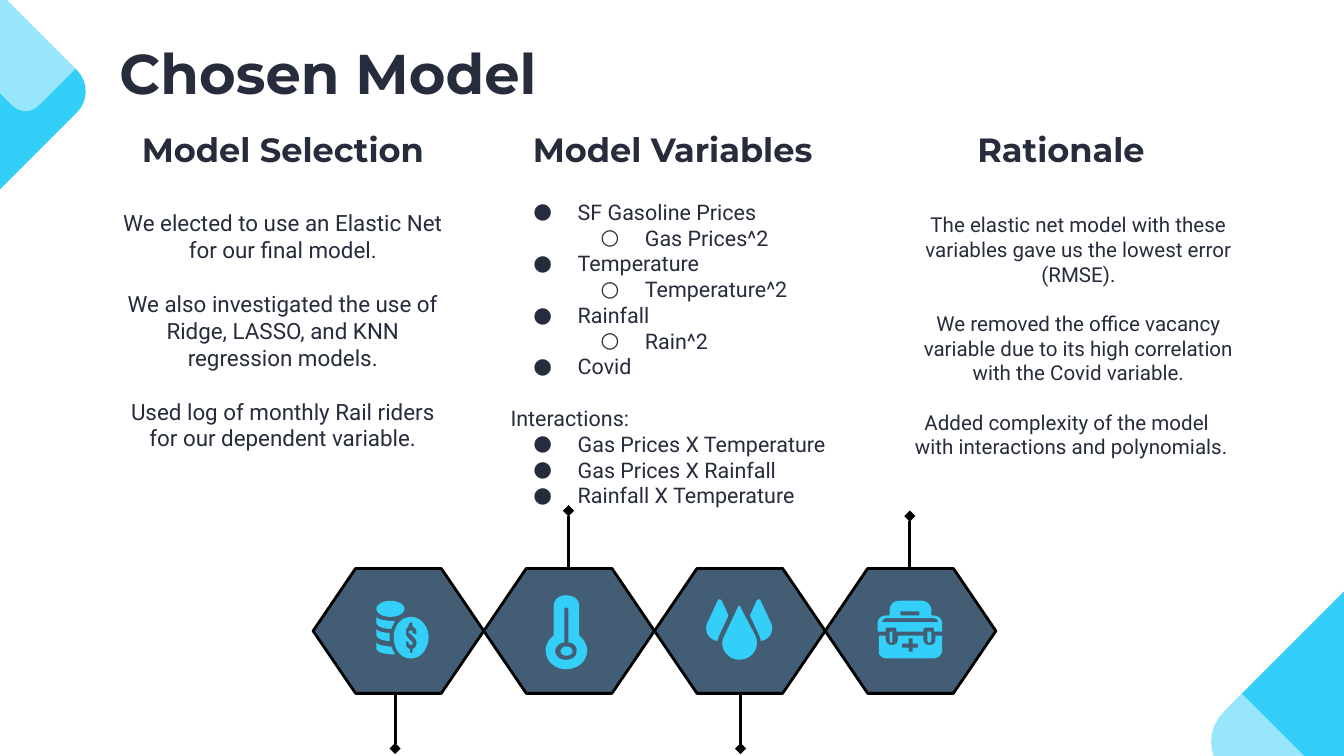
from lxml import etree
from pptx import Presentation
from pptx.dml.color import RGBColor
from pptx.enum.shapes import MSO_CONNECTOR, MSO_SHAPE
from pptx.enum.text import MSO_ANCHOR, PP_ALIGN
from pptx.oxml.ns import qn
from pptx.util import Inches, Pt

LEFT, CENTER = PP_ALIGN.LEFT, PP_ALIGN.CENTER
TOP, BOTTOM = MSO_ANCHOR.TOP, MSO_ANCHOR.BOTTOM
STRAIGHT, HEXAGON, OVAL = MSO_CONNECTOR.STRAIGHT, MSO_SHAPE.HEXAGON, MSO_SHAPE.OVAL
COLORS = {"ink": "262C3B", "sky": "33CFF8", "slate": "435D74",
          "white": "FFFFFF", "black": "000000"}
HEADING_FONT, BODY_FONT = "Montserrat", "Roboto"
LINE_HEIGHT = 1.2
CURVE_STEPS = 8

# Icon outlines in hundredths of an inch: two numbers are a point, six a curve; "|" starts a hole.
DROP = """550 451, 550 451 549 451 549 452, 539 473, 534 481 541 491 550 491,
    560 491 566 481 562 473, 551 452, 551 451 551 451 550 451"""
SIDE_DROP = """565 446, 564 446 564 446 563 447, 558 458, 564 471, 565 473 566 475 566 477,
    573 476 577 469 573 462, 566 447, 566 446 565 446 565 446"""
THERMOMETER = """421 443, 416 443 412 446 412 451, 412 473, 408 476 406 480 406 484,
    406 492 413 498 421 498, 430 498 437 492 437 484, 437 480 434 475 431 473, 431 451,
    431 446 427 443 421 443 | 421 452, 422 452 423 453 423 454, 423 478, 427 478 430 482 429 485,
    429 489 425 491 421 491, 417 491 414 489 413 485, 413 482 416 478 420 478, 420 454,
    420 453 420 452 421 452"""
DOLLAR_COIN = """306 459, 298 459 293 466 293 474, 293 483 298 490 306 490, 313 490 319 483 319 474,
    319 466 313 459 306 459 | 306 463, 307 463 307 464 307 466, 309 467 310 468 310 471, 309 472,
    307 471, 307 470 307 469 306 469, 305 469 304 470 304 471, 305 471 306 472 307 473,
    308 474 310 476 310 478, 310 481 309 482 307 483, 307 485 307 486 306 486,
    305 486 305 485 305 483, 303 482 302 481 302 478, 303 477, 304 478, 304 479 305 480 306 480,
    307 480 307 479 307 478, 307 478 306 477 305 476, 304 475 302 473 302 471,
    302 468 303 467 304 466, 304 464 305 463 306 463"""
COIN_BAND = """280 {0}, 280 {1}, 280 {2} 285 {3} {5} {3}, {4} {6},
    287 {6} 281 {7} 280 {0}"""
KIT_LID = """669 447, 665 447 662 450 662 454, 662 458, 660 458, 656 458 653 460 653 464, 653 470,
    659 470, 659 469, 659 468 659 467 660 467, 666 467, 667 467 667 468 667 469, 667 470, 687 470,
    687 469, 687 468 688 467 688 467, 694 467, 695 467 695 468 695 469, 695 470, 701 470, 701 464,
    701 460 698 458 694 458, 693 458, 693 454, 693 450 689 447 686 447
    | 684 455, 684 458, 670 458, 670 455
    | 694 460, 696 460 698 461 698 463, 656 463, 657 461 658 460 660 460"""
KIT_CASE = """654 473, 654 484, 653 487 656 490 660 490, 694 490, 698 490 701 487 701 484, 701 473,
    696 473, 696 476, 696 479 694 480 691 480, 689 480 687 478 687 476, 687 473, 668 473, 668 476,
    668 479 666 480 663 480, 661 480 659 478 659 476, 659 473 | 676 475, 679 475, 679 479, 683 479,
    683 482, 679 482, 679 485, 676 485, 676 482, 671 482, 671 479, 676 479"""
CLASPS = ["662 470, 662 476, 662 479 664 479 664 476, 664 470",
          "690 470, 690 476, 690 479 693 479 693 476, 693 470"]


def color(name):
    return RGBColor.from_string(COLORS[name])


def format_paragraph(paragraph, text, size, font=BODY_FONT, bold=False, align=LEFT,
                     gap=False, margin=0, indent=0, bullet=None):
    """Fill a paragraph; gap leaves one line free above it."""
    run = paragraph.add_run()
    run.text = text
    run.font.size, run.font.name, run.font.bold = Pt(size), font, bold
    run.font.color.rgb = color("ink")
    paragraph.alignment = align
    paragraph.space_before = Pt(size * LINE_HEIGHT if gap else 0)
    properties = paragraph._p.get_or_add_pPr()
    properties.set("marL", str(Inches(margin)))
    properties.set("indent", str(Inches(indent)))
    if bullet:
        bullet_color = etree.SubElement(properties, qn("a:buClr"))
        etree.SubElement(bullet_color, qn("a:srgbClr"), val=COLORS["ink"])
        etree.SubElement(properties, qn("a:buFont"), typeface=font)
        etree.SubElement(properties, qn("a:buChar"), char=bullet)


def read_outline(text):
    return [[tuple(int(number) / 100 for number in step.split()) for step in contour.split(",")]
            for contour in text.split("|")]


def flatten(contour):
    """Turn points and cubic curves into points in EMU."""
    points = []
    for step in contour:
        if len(step) == 2:
            points.append(step)
            continue
        (x0, y0), (x1, y1, x2, y2, x3, y3) = points[-1], step
        for t in (i / CURVE_STEPS for i in range(1, CURVE_STEPS + 1)):
            a, b, c, d = (1 - t) ** 3, 3 * t * (1 - t) ** 2, 3 * t * t * (1 - t), t ** 3
            points.append((a * x0 + b * x1 + c * x2 + d * x3, a * y0 + b * y1 + c * y2 + d * y3))
    return [(Inches(x), Inches(y)) for x, y in points]


class SlideBuilder:
    def __init__(self, slide):
        self.shapes = slide.shapes

    def paint(self, shape, fill, outline=None, alpha=None):
        shape.shadow.inherit = False
        shape.fill.solid()
        shape.fill.fore_color.rgb = color(fill)
        if alpha:
            node = shape._element.spPr.find(qn("a:solidFill")).find(qn("a:srgbClr"))
            etree.SubElement(node, qn("a:alpha"), val=str(alpha * 1000))
        if outline:
            shape.line.color.rgb = color(outline)
            shape.line.width = Pt(1.5)
        else:
            shape.line.fill.background()

    def preset(self, kind, *box, fill="sky", outline=None):
        shape = self.shapes.add_shape(kind, *(Inches(length) for length in box))
        self.paint(shape, fill, outline)
        return shape

    def freeform(self, contours, fill="sky", alpha=None):
        """Draw one shape; contours after the first are holes."""
        builder = None
        for first, *rest in map(flatten, contours):
            if builder:
                builder.move_to(*first)
            else:
                builder = self.shapes.build_freeform(*first)
            builder.add_line_segments(rest, close=True)
        self.paint(builder.convert_to_shape(), fill, alpha=alpha)

    def diamond(self, x, y, radius, fill, alpha=None):
        """Draw a diamond with rounded corners around a centre."""
        a, b, c = 0.91, 0.16, 0.07
        steps = [(-a, b), (-1, c, -1, -c, -a, -b), (-b, -a), (-c, -1, c, -1, b, -a),
                 (a, -b), (1, -c, 1, c, a, b), (b, a), (c, 1, -c, 1, -b, a)]
        contour = [tuple((y if i % 2 else x) + v * radius for i, v in enumerate(step))
                   for step in steps]
        self.freeform([contour], fill, alpha)

    def pin(self, x, start, end):
        connector = self.shapes.add_connector(STRAIGHT, Inches(x), Inches(start),
                                              Inches(x), Inches(end))
        connector.line.color.rgb = color("black")
        connector.line.width = Pt(1.5)
        properties = connector._element.spPr
        etree.SubElement(properties.find(qn("a:ln")), qn("a:tailEnd"), type="diamond")
        etree.SubElement(properties, qn("a:effectLst"))

    def text(self, box, paragraphs, anchor=TOP, **style):
        """Add a text box from (text, extra format) pairs."""
        frame = self.shapes.add_textbox(*(Inches(length) for length in box)).text_frame
        frame.word_wrap, frame.vertical_anchor = True, anchor
        frame.margin_left = frame.margin_right = Inches(0.1)
        frame.margin_top = frame.margin_bottom = Inches(0.1)
        for i, (text, extra) in enumerate(paragraphs):
            paragraph = frame.add_paragraph() if i else frame.paragraphs[0]
            format_paragraph(paragraph, text, **{**style, **extra})

    def icons(self):
        side = read_outline(SIDE_DROP)
        mirrored = [[tuple(v if i % 2 else 11 - v for i, v in enumerate(step)) for step in side[0]]]
        bands = [COIN_BAND.format(y, y + 4, y + 7, y + 9, top, bottom, y + 3, y + 2)
                 for y, top, bottom in [(459, 294, 291), (478, 291, 294), (468, 290, 290)]]
        drawings = [DROP, THERMOMETER, DOLLAR_COIN, *bands, KIT_LID, KIT_CASE, *CLASPS]
        for contours in [side, mirrored, *map(read_outline, drawings)]:
            self.freeform(contours)
        self.preset(OVAL, 4.17, 4.81, 0.09, 0.07)
        self.preset(OVAL, 2.8, 4.47, 0.21, 0.12)


def main():
    presentation = Presentation()
    presentation.slide_width, presentation.slide_height = Inches(10), Inches(10 * 9 / 16)
    builder = SlideBuilder(presentation.slides.add_slide(presentation.slide_layouts[6]))
    for x, y, radius, fill, alpha in [(10.38, 5.52, 1.4, "sky", None), (9.12, 5.94, 0.84, "white", 49),
                                      (-0.34, 0.68, 1, "sky", None), (0.19, 0.24, 0.6, "white", 49)]:
        builder.diamond(x, y, radius, fill, alpha)

    heading = {"font": HEADING_FONT, "bold": True}
    builder.text((0.79, 0.19, 8.43, 0.63), [("Chosen Model", {})], size=30, **heading)
    for left, title in [(6.58, "Rationale"), (3.69, "Model Variables"), (0.79, "Model Selection")]:
        builder.text((left, 0.93, 2.63, 0.43), [(title, {})], BOTTOM, size=18, align=CENTER, **heading)

    gap = {"gap": True}
    item = {"margin": 0.5, "indent": -0.33, "bullet": "●"}
    subitem = {"margin": 1, "indent": -0.33, "bullet": "○"}
    builder.text((0.79, 1.46, 2.63, 2.16), [
        ("We elected to use an Elastic Net for our final model.", {}),
        ("We also investigated the use of Ridge, LASSO, and KNN regression models.", gap),
        ("Used log of monthly Rail riders for our dependent variable.", gap)], size=12, align=CENTER)
    builder.text((3.7, 1.38, 2.72, 3.03), [
        ("SF Gasoline Prices", item), ("Gas Prices^2", subitem), ("Temperature", item),
        ("Temperature^2", subitem), ("Rainfall", item), ("Rain^2", subitem), ("Covid", item),
        ("Interactions:", gap), ("Gas Prices X Temperature", item),
        ("Gas Prices X Rainfall", item), ("Rainfall X Temperature", item)], size=11.5)
    builder.text((6.71, 1.48, 2.63, 2.32), [
        ("The elastic net model with these variables gave us the lowest error (RMSE).", {}),
        ("We removed the office vacancy variable due to its high correlation "
         "with the Covid variable.", gap),
        ("Added complexity of the model with interactions and polynomials.",
         {"gap": True, "align": LEFT, "indent": 0.07})], size=11, align=CENTER)

    pins = [(2.94, 5.13, 5.57), (4.23, 4.25, 3.8), (5.51, 5.13, 5.57), (6.77, 4.28, 3.84)]
    for i, pin in enumerate(pins):
        builder.pin(*pin)
        box = (2.33 + 1.27 * i, 4.23, 1.27, 0.93)
        builder.preset(HEXAGON, *box, fill="slate", outline="black").adjustments[0] = 0.34
    builder.icons()
    presentation.save("out.pptx")


if __name__ == "__main__":
    main()
